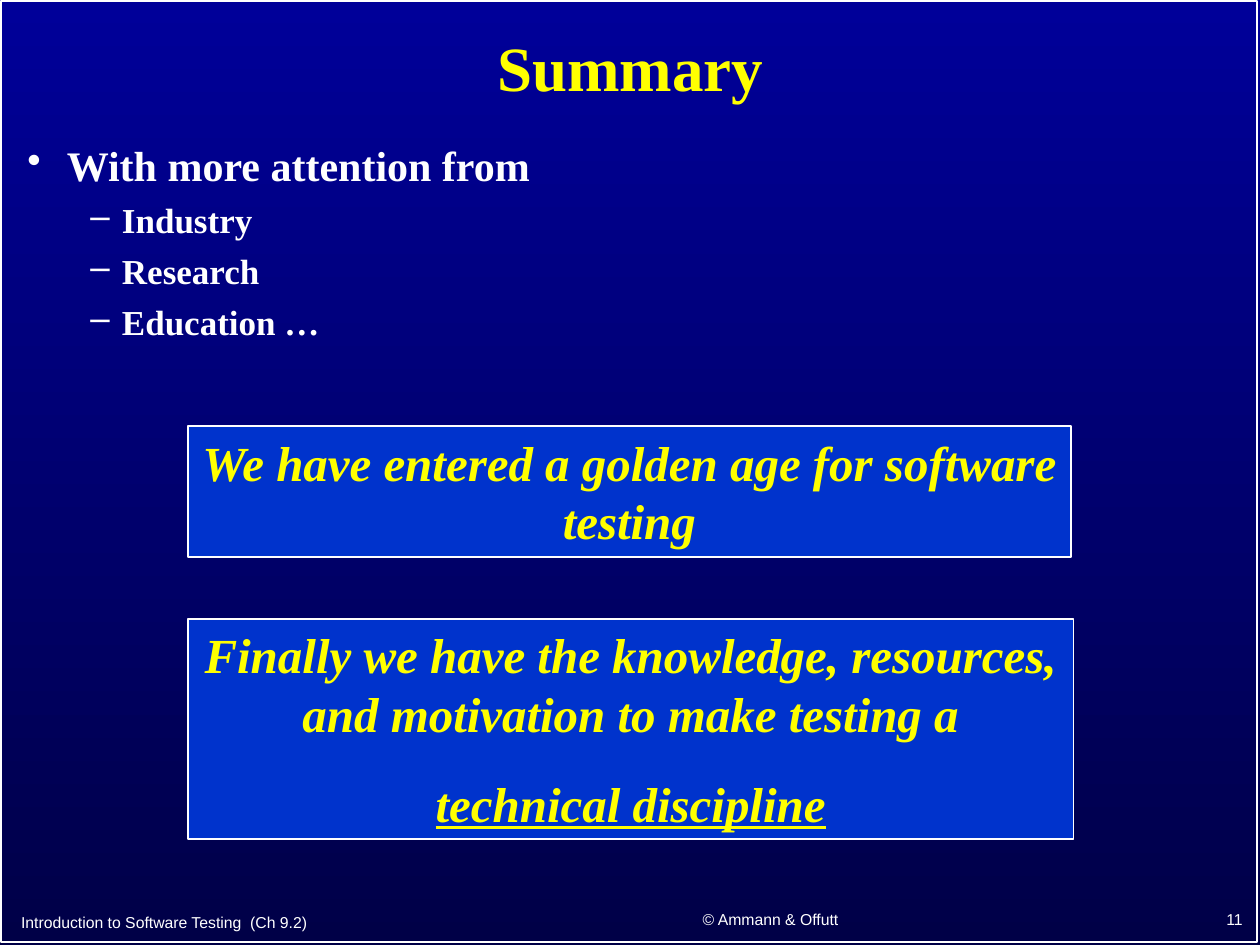
from lxml import etree
from pptx import Presentation
from pptx import util as u
from pptx.dml.color import RGBColor
from pptx.enum import shapes, text
from pptx.oxml.ns import qn

COLORS = {
    "top": "000099",
    "bottom": "000047",
    "box": "0033CC",
    "white": "FFFFFF",
    "yellow": "FFFF00",
}
SERIF, SANS = "Times New Roman", "Arial"
ALIGN = text.PP_ALIGN
ANCHOR = text.MSO_ANCHOR


def color(name):
    return RGBColor.from_string(COLORS[name])


def points(*lengths):
    return [u.Pt(length) for length in lengths]


def format_paragraph(paragraph, size, color_name, font=SERIF, bold=True,
                     italic=False, align=ALIGN.LEFT):
    paragraph.alignment = align
    for run in paragraph.runs:
        run.font.name = font
        run.font.size = u.Pt(size)
        run.font.bold = bold
        run.font.italic = italic
        run.font.color.rgb = color(color_name)


def set_background(slide):
    fill = slide.background.fill
    fill.gradient()
    fill.gradient_angle = 270
    for stop, name in zip(fill.gradient_stops, ("top", "bottom")):
        stop.color.rgb = color(name)


def add_rectangle(slide, box, fill_name=None):
    shape = slide.shapes.add_shape(shapes.MSO_SHAPE.RECTANGLE, *points(*box))
    shape.shadow.inherit = False
    if fill_name:
        shape.fill.solid()
        shape.fill.fore_color.rgb = color(fill_name)
    else:
        shape.fill.background()
    shape.line.color.rgb = color("white")
    shape.line.width = u.Pt(1)
    return shape


def set_title(slide, wording):
    title = slide.shapes.title
    title.left, title.top, title.width, title.height = points(9.4, 6.5, 701.3, 68.4)
    frame = title.text_frame
    frame.text = wording
    frame.vertical_anchor = ANCHOR.MIDDLE
    paragraph = frame.paragraphs[0]
    paragraph.line_spacing = 0.9
    format_paragraph(paragraph, 36, "yellow", align=ALIGN.CENTER)


def add_bullet(paragraph, character, margin, hanging, percent):
    properties = paragraph._p.get_or_add_pPr()
    properties.set("marL", str(u.Pt(margin)))
    properties.set("indent", str(-u.Pt(hanging)))
    bullet_color = etree.SubElement(properties, qn("a:buClr"))
    etree.SubElement(bullet_color, qn("a:srgbClr"), val=COLORS["white"])
    etree.SubElement(properties, qn("a:buSzPct"), val=str(percent * 1000))
    etree.SubElement(properties, qn("a:buChar"), char=character)


def add_bullet_list(slide, box, heading, items):
    frame = slide.shapes.add_textbox(*points(*box)).text_frame
    frame.word_wrap = True
    frame.text = "\n".join([heading, *items])
    for index, paragraph in enumerate(frame.paragraphs):
        paragraph.line_spacing = 0.9
        if index == 0:
            add_bullet(paragraph, "•", 22.5, 22.5, 95)
            format_paragraph(paragraph, 24, "white")
        else:
            paragraph.level = 1
            paragraph.space_before = u.Pt(7.5)
            add_bullet(paragraph, "–", 54, 18, 100)
            format_paragraph(paragraph, 20, "white")


def add_statement(slide, box, wording):
    shape = add_rectangle(slide, box, "box")
    frame = shape.text_frame
    frame.word_wrap = True
    frame.vertical_anchor = ANCHOR.TOP
    frame.text = wording
    for paragraph in frame.paragraphs:
        format_paragraph(paragraph, 28, "yellow", italic=True, align=ALIGN.CENTER)
    for paragraph in frame.paragraphs[1:]:
        paragraph.space_before = u.Pt(17.5)
    return frame


def add_footer(slide, box, wording, align):
    frame = slide.shapes.add_textbox(*points(*box)).text_frame
    frame.word_wrap = True
    frame.vertical_anchor = ANCHOR.BOTTOM
    frame.text = wording
    format_paragraph(frame.paragraphs[0], 9, "white", SANS, bold=False, align=align)


def main():
    presentation = Presentation()
    presentation.slide_width, presentation.slide_height = points(720, 540)
    slide = presentation.slides.add_slide(presentation.slide_layouts[5])

    # Background and frame
    set_background(slide)
    add_rectangle(slide, (0.7, 0.7, 717.8, 537.8))

    # Title and bullets
    set_title(slide, "Summary")
    add_bullet_list(slide, (8.6, 79.2, 702, 128.9), "With more attention from",
                    ["Industry", "Research", "Education …"])

    # Highlighted statements
    add_statement(slide, (107.3, 243.4, 504.7, 74.9),
                  "We have entered a golden age for software testing")
    conclusion = add_statement(
        slide, (107.3, 353.5, 506.2, 126),
        "Finally we have the knowledge, resources, and motivation to make testing a\n"
        "technical discipline")
    conclusion.paragraphs[-1].runs[0].font.underline = True

    # Footer
    add_footer(slide, (5, 511.9, 307.4, 23.8),
               "Introduction to Software Testing  (Ch 9.2)", ALIGN.LEFT)
    add_footer(slide, (324.7, 512.6, 231.1, 21.6), "© Ammann & Offutt", ALIGN.CENTER)
    add_footer(slide, (567.4, 511.9, 149.8, 22.3), "11", ALIGN.RIGHT)

    presentation.save("out.pptx")


if __name__ == "__main__":
    main()
